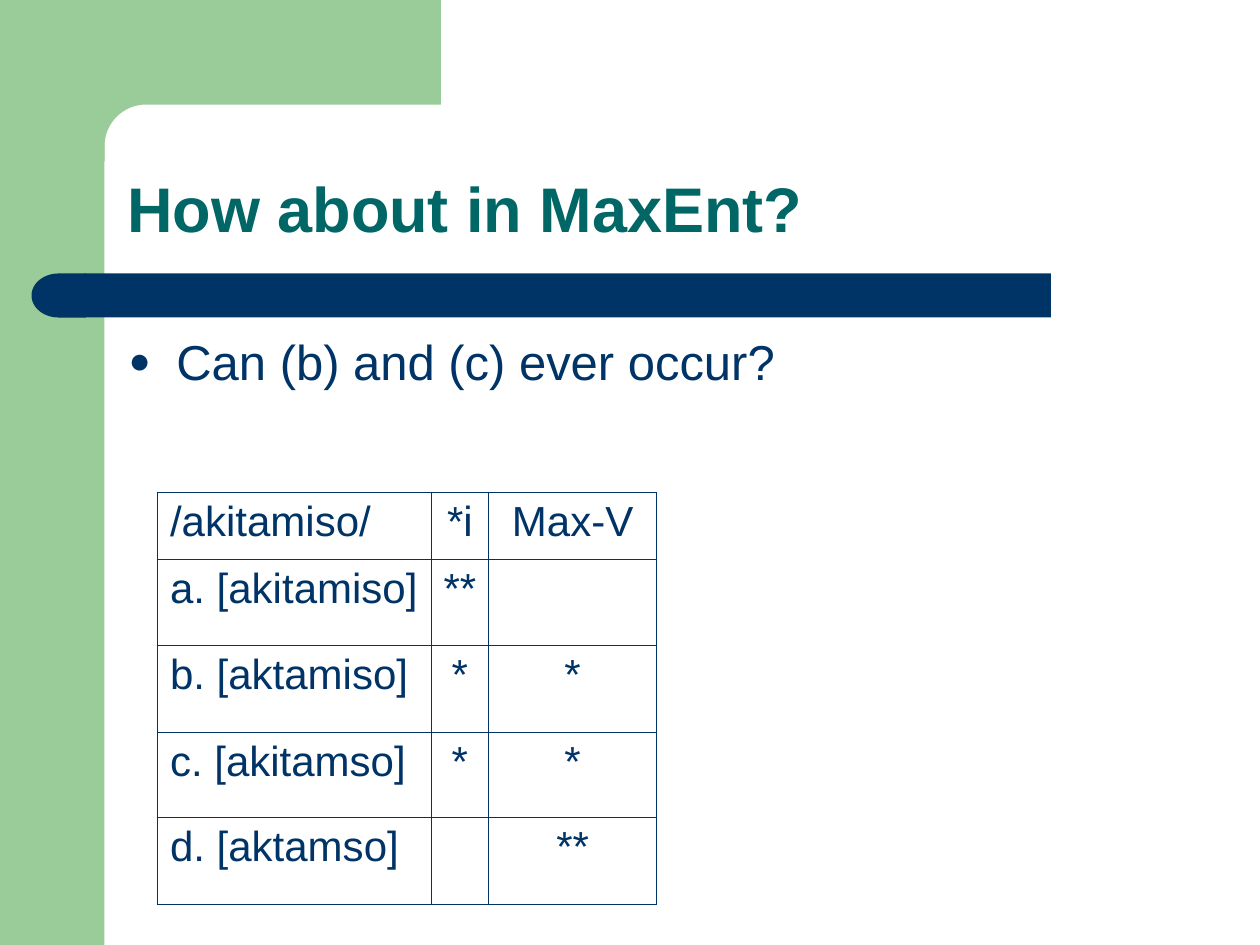
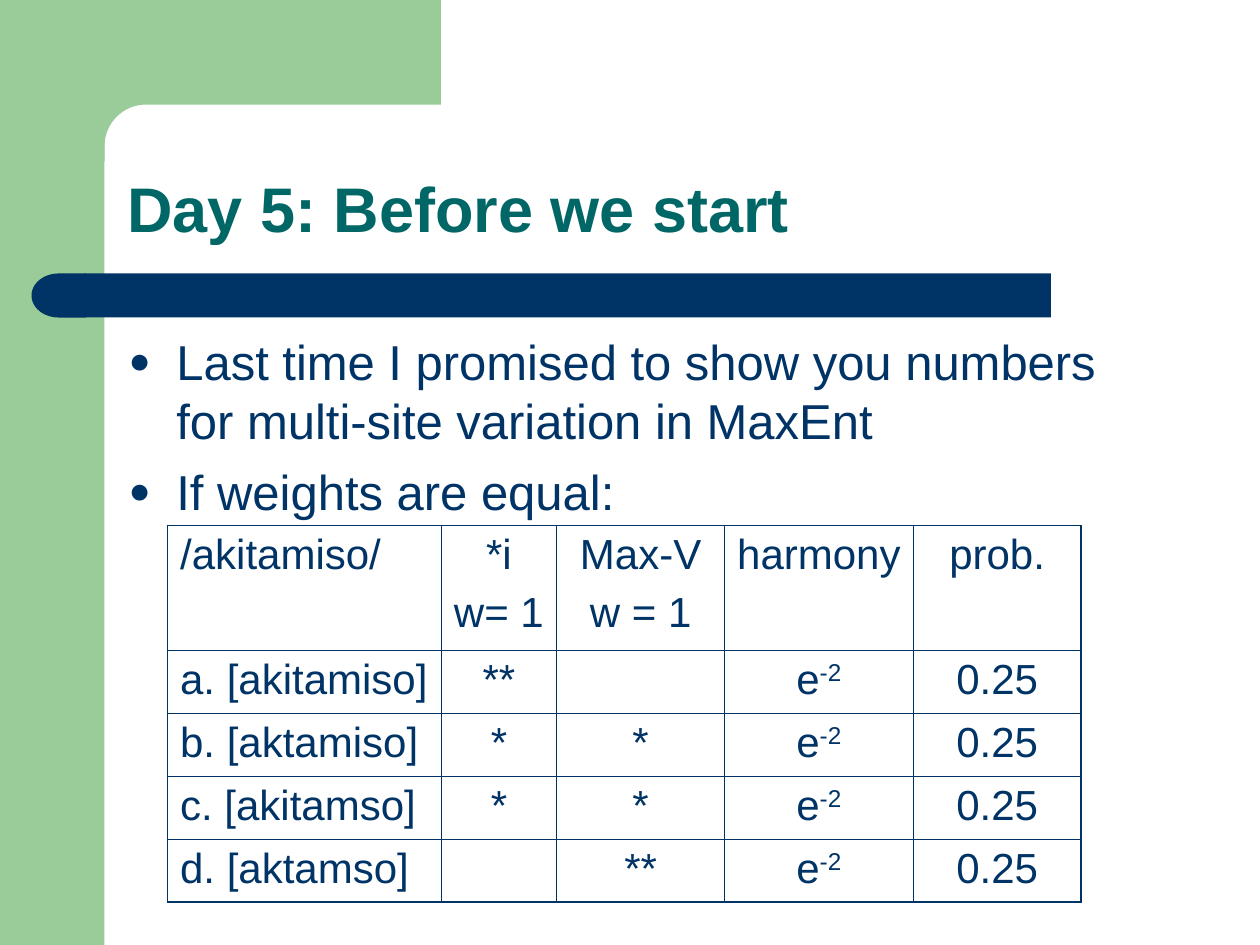
import dataclasses
import math

import lxml.etree
import pptx
import pptx.dml.color
import pptx.enum.shapes
import pptx.enum.text
import pptx.oxml.ns
import pptx.util

Inches = pptx.util.Inches
Pt = pptx.util.Pt
Align = pptx.enum.text.PP_ALIGN
Preset = pptx.enum.shapes.MSO_SHAPE

COLORS = {"navy": "003366", "teal": "006666", "green": "99CC99"}
FONT = "Arial"
OUTER_LINE = 1.08
INNER_LINE = 0.45
LABEL_WIDTH = 2.17


@dataclasses.dataclass(frozen=True)
class Band:
    preset: Preset
    left: float
    top: float
    width: float
    height: float
    color: str
    rotation: int = 0


@dataclasses.dataclass(frozen=True)
class Tableau:
    left: float
    top: float
    widths: list[float]
    heights: list[float]
    rows: list[list[str]]


@dataclasses.dataclass(frozen=True)
class Content:
    title: str
    bullets: list[str]
    body_height: float
    tableau: Tableau


BANDS = [
    Band(Preset.RECTANGLE, 0, 0, 0.83, 7.5, "green"),
    Band(Preset.RECTANGLE, 0.67, 2.17, 7.67, 0.35, "navy"),
    Band(Preset.FLOWCHART_DELAY, 0.25, 2.17, 0.43, 0.35, "navy", 180),
]

CANDIDATES = [
    ["a. [akitamiso]", "**", ""],
    ["b. [aktamiso]", "*", "*"],
    ["c. [akitamso]", "*", "*"],
    ["d. [aktamso]", "", "**"],
]

CONTENTS = [
    Content(
        "How about in MaxEnt?",
        ["Can (b) and (c) ever occur?"],
        1.17,
        Tableau(
            1.25, 3.91, [LABEL_WIDTH, 0.46, 1.33], [0.53, 0.68, 0.69, 0.68, 0.69],
            [["/akitamiso/", "*i", "Max-V"]] + CANDIDATES,
        ),
    ),
    Content(
        "Day 5: Before we start",
        [
            "Last time I promised to show you numbers for multi-site variation in MaxEnt",
            "If weights are equal:",
        ],
        4.07,
        Tableau(
            1.33, 4.17, [LABEL_WIDTH, 0.92, 1.33, 1.5, 1.33], [0.99] + [0.5] * 4,
            [["/akitamiso/", "*i\nw= 1", "Max-V\nw = 1", "harmony", "prob."]]
            + [row + ["e^-2", "0.25"] for row in CANDIDATES],
        ),
    ),
]


def rgb(color: str) -> pptx.dml.color.RGBColor:
    return pptx.dml.color.RGBColor.from_string(COLORS[color])


def add_element(parent, tag: str, **attributes: str):
    element = lxml.etree.SubElement(parent, pptx.oxml.ns.qn(tag))
    for name, value in attributes.items():
        element.set(name, value)
    return element


def style_paragraph(para, size: float, color: str, bold: bool = False) -> None:
    para.font.name = FONT
    para.font.size = Pt(size)
    para.font.bold = bold
    para.font.color.rgb = rgb(color)


def paint(shape, color: str) -> None:
    shape.fill.solid()
    shape.fill.fore_color.rgb = rgb(color)
    shape.line.fill.background()
    shape.shadow.inherit = False


def draw_band(page, band: Band):
    shape = page.shapes.add_shape(
        band.preset, Inches(band.left), Inches(band.top), Inches(band.width), Inches(band.height)
    )
    shape.rotation = band.rotation
    paint(shape, band.color)
    return shape


def draw_corner(page):
    center, radius, steps = 1.16, 0.33, 24
    angles = [math.pi / 2 * step / steps for step in range(steps + 1)]
    arc = [
        (center - radius * math.sin(angle), center - radius * math.cos(angle))
        for angle in angles
    ]
    outline = [(3.5, 0.83)] + arc + [(0.83, 1.28), (0.5, 1.28), (0.5, 0)]
    builder = page.shapes.build_freeform(Inches(3.5), 0)
    builder.add_line_segments([(Inches(x), Inches(y)) for x, y in outline], close=True)
    shape = builder.convert_to_shape()
    paint(shape, "green")
    return shape


def move_to_master(deck, shapes) -> None:
    tree = deck.slide_master.shapes.element
    for index, shape in enumerate(shapes):
        shape.element.nvSpPr.cNvPr.id = 100 + index
        tree.insert(2 + index, shape.element)


def place(box, left: float, top: float, width: float, height: float) -> None:
    box.left, box.top = Inches(left), Inches(top)
    box.width, box.height = Inches(width), Inches(height)
    box.text_frame.word_wrap = True
    box.text_frame.auto_size = pptx.enum.text.MSO_AUTO_SIZE.NONE


def write_title(page, text: str) -> None:
    box = page.shapes.title
    place(box, 0.91, 0.91, 8.51, 1.09)
    box.text_frame.vertical_anchor = pptx.enum.text.MSO_ANCHOR.BOTTOM
    box.text_frame.text = text
    para = box.text_frame.paragraphs[0]
    para.alignment = Align.LEFT
    para.line_spacing = 0.9
    style_paragraph(para, 36, "teal", bold=True)


def write_bullets(page, bullets: list[str], height: float) -> None:
    box = page.placeholders[1]
    place(box, 0.92, 2.58, 8.41, height)
    box.text_frame.text = "\n".join(bullets)
    for index, para in enumerate(box.text_frame.paragraphs):
        para.space_before = Pt(7 if index else 0)
        properties = para._p.get_or_add_pPr()
        properties.set("marL", str(Inches(0.38)))
        properties.set("indent", str(Inches(-0.38)))
        bullet_color = add_element(properties, "a:buClr")
        add_element(bullet_color, "a:srgbClr", val=COLORS["navy"])
        add_element(properties, "a:buSzPct", val="75000")
        add_element(properties, "a:buFont", typeface=FONT)
        add_element(properties, "a:buChar", char="●")
        style_paragraph(para, 28, "navy")


def set_borders(cell, outer_sides: dict[str, bool]) -> None:
    properties = cell._tc.get_or_add_tcPr()
    for side, is_outer in outer_sides.items():
        width = Pt(OUTER_LINE if is_outer else INNER_LINE)
        line = add_element(properties, f"a:ln{side}", w=str(width))
        fill = add_element(line, "a:solidFill")
        add_element(fill, "a:srgbClr", val=COLORS["navy"])


def write_cell(cell, text: str, alignment: Align) -> None:
    for index, line in enumerate(text.split("\n")):
        frame = cell.text_frame
        para = frame.add_paragraph() if index else frame.paragraphs[0]
        para.alignment = alignment
        para.space_before = Pt(6 if index else 0)
        base, _, exponent = line.partition("^")
        if base:
            para.add_run().text = base
        if exponent:
            span = para.add_run()
            span.text = exponent
            span._r.get_or_add_rPr().set("baseline", "30000")
        style_paragraph(para, 24, "navy")


def draw_tableau(page, tableau: Tableau) -> None:
    row_count, column_count = len(tableau.heights), len(tableau.widths)
    table = page.shapes.add_table(
        row_count, column_count, Inches(tableau.left), Inches(tableau.top),
        Inches(sum(tableau.widths)), Inches(sum(tableau.heights)),
    ).table
    table.first_row = False
    table.horz_banding = False
    for column, width in zip(table.columns, tableau.widths):
        column.width = Inches(width)
    for row, height in zip(table.rows, tableau.heights):
        row.height = Inches(height)
    for row_index, texts in enumerate(tableau.rows):
        for column_index, text in enumerate(texts):
            cell = table.cell(row_index, column_index)
            set_borders(cell, {
                "L": column_index == 0,
                "R": column_index == column_count - 1,
                "T": row_index == 0,
                "B": row_index == row_count - 1,
            })
            cell.fill.background()
            write_cell(cell, text, Align.CENTER if column_index else Align.LEFT)


def main() -> None:
    deck = pptx.Presentation()
    deck.slide_width, deck.slide_height = Inches(10), Inches(7.5)
    pages = [deck.slides.add_slide(deck.slide_layouts[1]) for _ in CONTENTS]
    backdrop = [draw_band(pages[0], band) for band in BANDS] + [draw_corner(pages[0])]
    move_to_master(deck, backdrop)
    for page, content in zip(pages, CONTENTS):
        write_title(page, content.title)
        write_bullets(page, content.bullets, content.body_height)
        draw_tableau(page, content.tableau)
    deck.save("out.pptx")


if __name__ == "__main__":
    main()
